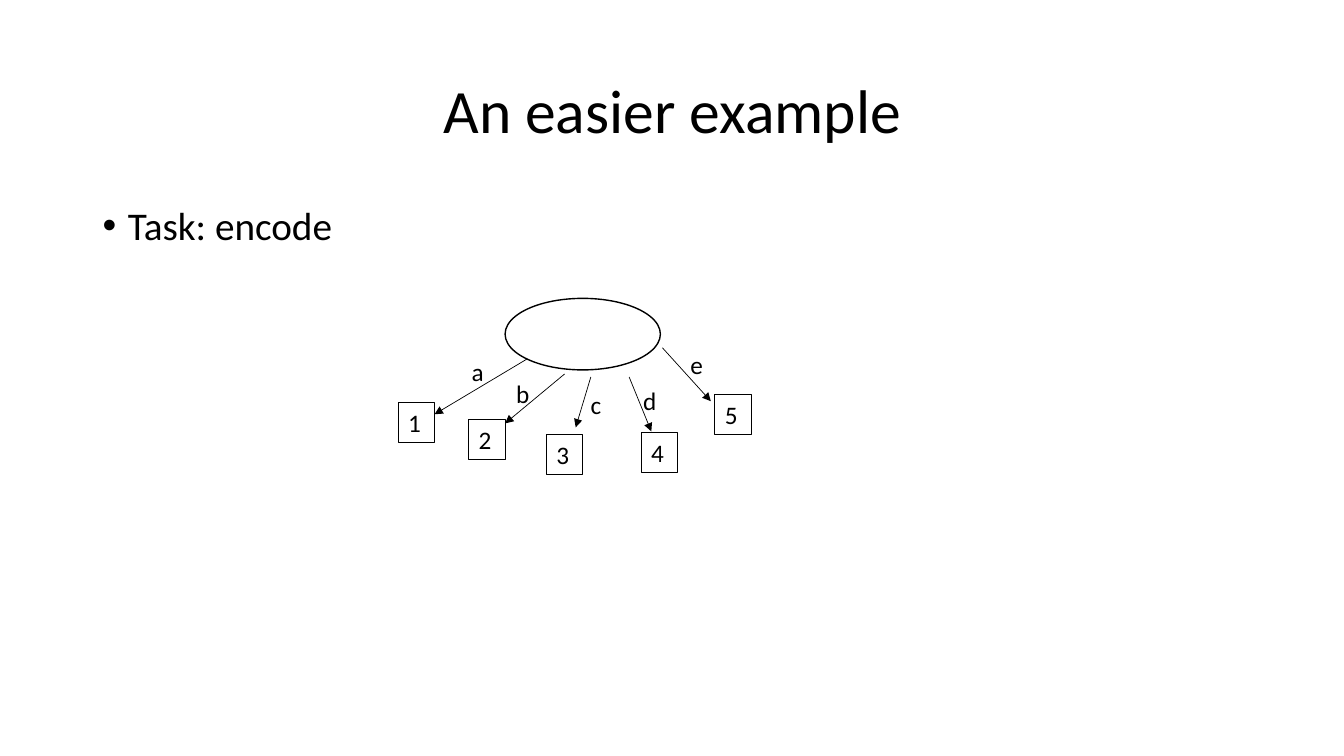
from lxml import etree
from pptx import Presentation
from pptx.dml.color import RGBColor
from pptx.enum.shapes import MSO_CONNECTOR, MSO_SHAPE
from pptx.enum.text import MSO_ANCHOR, MSO_AUTO_SIZE, PP_ALIGN
from pptx.oxml.ns import qn
from pptx.util import Inches, Pt

BLACK = "000000"
LEAF_WIDTH, TEXT_HEIGHT = 0.36, 0.4


def write_text(shape, text, size=18, align=PP_ALIGN.LEFT, anchor=MSO_ANCHOR.TOP,
               line_spacing=1.0, space_before=0, color=BLACK):
    frame = shape.text_frame
    frame.word_wrap = True
    frame.auto_size = MSO_AUTO_SIZE.NONE
    frame.vertical_anchor = anchor
    frame.text = text
    paragraph = frame.paragraphs[0]
    paragraph.alignment = align
    paragraph.line_spacing = line_spacing
    paragraph.space_before = Pt(space_before)
    font = paragraph.runs[0].font
    font.name, font.size = "Calibri", Pt(size)
    font.color.rgb = RGBColor.from_string(color)
    return paragraph


def add_outline(kind, left, top, width, height, weight, color=BLACK):
    shape = slide.shapes.add_shape(
        kind, Inches(left), Inches(top), Inches(width), Inches(height))
    shape.shadow.inherit = False
    shape.fill.background()
    shape.line.color.rgb = RGBColor.from_string(color)
    shape.line.width = Pt(weight)
    return shape


presentation = Presentation()
presentation.slide_width, presentation.slide_height = Inches(13.33), Inches(7.5)
slide = presentation.slides.add_slide(presentation.slide_layouts[5])

# Title
title = slide.shapes.title
title.left, title.top = Inches(0.92), Inches(0.4)
title.width, title.height = Inches(11.5), Inches(1.45)
write_text(title, "An easier example", size=44, align=PP_ALIGN.CENTER,
           anchor=MSO_ANCHOR.MIDDLE, line_spacing=0.9)

# Bulleted task
body = slide.shapes.add_textbox(Inches(0.92), Inches(2), Inches(11.5), Inches(4.76))
task = write_text(body, "Task: encode", size=28, line_spacing=0.9, space_before=10)
properties = task._p.get_or_add_pPr()
properties.set("marL", str(Inches(0.25)))
properties.set("indent", str(Inches(-0.25)))
etree.SubElement(properties, qn("a:buFont"), typeface="Arial")
etree.SubElement(properties, qn("a:buChar"), char="•")

# Root of the tree
add_outline(MSO_SHAPE.OVAL, 5.01, 2.96, 1.54, 0.71, weight=1)

# Branches: edge label, its position and width, arrow start and end, leaf position
branches = [
    ("a", (4.58, 3.49), 0.36, (5.23, 3.56), (4.31, 4.11), (3.95, 3.99)),
    ("b", (5.02, 3.70), 0.36, (5.60, 3.71), (5.01, 4.20), (4.65, 4.16)),
    ("c", (5.76, 3.81), 0.39, (5.86, 3.74), (5.71, 4.24), (5.42, 4.31)),
    ("d", (6.28, 3.77), 0.39, (6.24, 3.74), (6.46, 4.28), (6.36, 4.29)),
    ("e", (6.75, 3.42), 0.39, (6.57, 3.45), (7.05, 3.98), (7.09, 3.91)),
]
for number, (letter, label_at, label_width, start, end, leaf_at) in enumerate(branches, 1):
    arrow = slide.shapes.add_connector(
        MSO_CONNECTOR.STRAIGHT, *(Inches(value) for value in start + end))
    arrow.line.color.rgb = RGBColor.from_string(BLACK)
    arrow.line.width = Pt(0.5)
    etree.SubElement(arrow.line._get_or_add_ln(), qn("a:tailEnd"), type="triangle")
    etree.SubElement(arrow._element.spPr, qn("a:effectLst"))

    label = slide.shapes.add_textbox(
        Inches(label_at[0]), Inches(label_at[1]), Inches(label_width), Inches(TEXT_HEIGHT))
    write_text(label, letter)

    leaf = add_outline(MSO_SHAPE.RECTANGLE, *leaf_at, LEAF_WIDTH, TEXT_HEIGHT, weight=0.75)
    write_text(leaf, str(number))

presentation.save("out.pptx")
